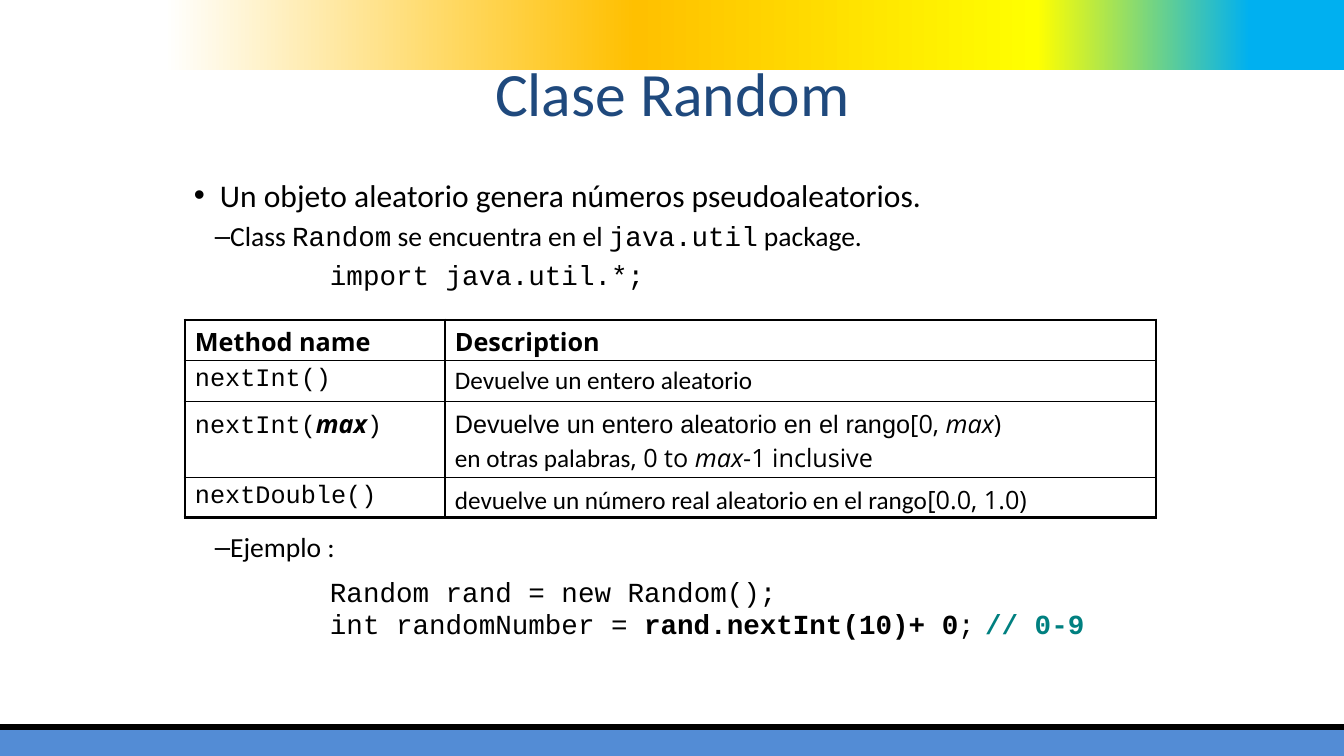
from copy import deepcopy
from pptx import Presentation
from pptx.dml.color import RGBColor
from pptx.enum.shapes import MSO_CONNECTOR as CONN, MSO_SHAPE as SHAPE
from pptx.enum.text import MSO_ANCHOR as ANCHOR, MSO_AUTO_SIZE as AUTO, PP_ALIGN as ALIGN
from pptx.oxml.ns import qn
from pptx.util import Pt
from lxml.etree import SubElement

COLORS = {"black": "000000", "title": "1F497D", "bar": "538CD5", "comment": "008080"}
BANNER = [(0, "FFFFFF"), (40, "FFC000"), (74, "FFFF00"), (92, "00B0F0"), (100, "00B0F0")]
SANS, BODY, CODE, ARIAL = "Open Sans", "Calibri", "Courier New", "Arial"
THIN, THICK = 1, 2.25


def px(n):
    return round(n * 914400 / 100.8)


def box(*at):
    return [px(n) for n in at]


def rgb(name):
    return RGBColor.from_string(COLORS[name])


def add_run(p, text, font=BODY, size=18, color="black", bold=False, italic=False):
    r = p.add_run()
    r.text = text
    f = r.font
    f.name, f.size, f.bold, f.italic = font, Pt(size), bold, italic
    f.color.rgb = rgb(color)


def add_bar(s, *at):
    sp = s.shapes.add_shape(SHAPE.RECTANGLE, *box(*at))
    sp.shadow.inherit = False
    sp.line.fill.background()
    return sp


def fill_gradient(sp, stops):
    sp.fill.gradient()
    sp.fill.gradient_angle = 0
    gs_list = sp.element.spPr.find(qn("a:gradFill")).find(qn("a:gsLst"))
    blank = deepcopy(gs_list[0])
    for gs in list(gs_list):
        gs_list.remove(gs)
    for pos, color in stops:
        gs = deepcopy(blank)
        for child in list(gs):
            gs.remove(child)
        gs.set("pos", str(pos * 1000))
        SubElement(gs, qn("a:srgbClr"), val=color)
        gs_list.append(gs)


def add_rule(s, x1, y1, x2, y2, width):
    line = s.shapes.add_connector(CONN.STRAIGHT, *box(x1, y1, x2, y2))
    line.line.color.rgb = rgb("black")
    line.line.width = Pt(width)
    SubElement(line.element.spPr, qn("a:effectLst"))


def set_indent(p, left, first=0, bullet=None, tab=None):
    pPr = p._p.get_or_add_pPr()
    pPr.set("marL", str(px(left)))
    pPr.set("indent", str(px(first)))
    if bullet:
        clr = SubElement(pPr, qn("a:buClr"))
        SubElement(clr, qn("a:srgbClr"), val=COLORS["black"])
        SubElement(pPr, qn("a:buFont"), typeface=ARIAL)
        SubElement(pPr, qn("a:buChar"), char=bullet)
    else:
        SubElement(pPr, qn("a:buNone"))
    if tab:
        tabs = SubElement(pPr, qn("a:tabLst"))
        SubElement(tabs, qn("a:tab"), pos=str(px(tab)), algn="l")


def add_body(s, paragraphs, *at):
    tf = s.shapes.add_textbox(*box(*at)).text_frame
    tf.word_wrap = True
    tf.margin_left = tf.margin_top = tf.margin_right = tf.margin_bottom = 0
    for i, (level, before, spacing, indent, size, runs) in enumerate(paragraphs):
        p = tf.add_paragraph() if i else tf.paragraphs[0]
        p.level, p.space_before, p.line_spacing = level, Pt(before), spacing
        set_indent(p, **indent)
        for text, fmt in runs:
            add_run(p, text, size=size, **fmt)


def set_borders(cell, **widths):
    tcPr = cell._tc.get_or_add_tcPr()
    for i, side in enumerate("LRTB"):
        ln = SubElement(tcPr, qn("a:ln" + side), w=str(Pt(widths[side])))
        fill = SubElement(ln, qn("a:solidFill"))
        SubElement(fill, qn("a:srgbClr"), val=COLORS["black"])
        tcPr.remove(ln)
        tcPr.insert(i, ln)


def add_method_table(s, rows, x, y, widths, heights):
    frame = s.shapes.add_table(len(rows), len(widths), *box(x, y, sum(widths), sum(heights)))
    table = frame.table
    table.first_row = table.horz_banding = False
    for col, w in zip(table.columns, widths):
        col.width = px(w)
    for row, h in zip(table.rows, heights):
        row.height = px(h)
    last_r, last_c = len(rows) - 1, len(widths) - 1
    for r, row in enumerate(rows):
        for c, lines in enumerate(row):
            cell = table.cell(r, c)
            cell.fill.background()
            cell.margin_left = cell.margin_right = px(10)
            cell.margin_top = cell.margin_bottom = px(5)
            set_borders(cell, L=THIN if c else THICK, R=THICK if c == last_c else THIN,
                        T=THIN if r else THICK, B=THICK if r == last_r else THIN)
            p = cell.text_frame.paragraphs[0]
            for i, runs in enumerate(lines):
                if i:
                    p.add_line_break()
                for text, fmt in runs:
                    add_run(p, text, **fmt)


def set_title(s, text, *at):
    sp = s.shapes.title
    sp.left, sp.top, sp.width, sp.height = box(*at)
    tf = sp.text_frame
    tf.auto_size, tf.vertical_anchor, tf.word_wrap = AUTO.NONE, ANCHOR.TOP, True
    tf.paragraphs[0].alignment = ALIGN.CENTER
    add_run(tf.paragraphs[0], text, size=44, color="title")


def main():
    prs = Presentation()
    prs.slide_width, prs.slide_height = px(1344), px(756)
    s = prs.slides.add_slide(prs.slide_layouts[5])

    # Footer bar, top banner and footer rule
    footer = add_bar(s, 0, 730, 1344, 26)
    footer.fill.solid()
    footer.fill.fore_color.rgb = rgb("bar")
    fill_gradient(add_bar(s, 164, 0, 1180, 70), BANNER)
    add_rule(s, 0, 727, 1344, 727, 4.5)

    # Bullets and code, with room left for the table
    code, bold = {"font": CODE}, {"font": CODE, "bold": True}
    dash = {"left": 35, "first": -14, "bullet": "–"}
    block = {"left": 136}
    add_body(s, [
        (0, 0, 1.0, {"left": 26, "first": -26, "bullet": "•"}, 22.5,
         [("Un objeto aleatorio genera números pseudoaleatorios.", {})]),
        (1, 3.9, 1.0, dash, 19.7,
         [("Class ", {}), ("Random", code), (" se encuentra en el ", {}),
          ("java.util", code), (" package.", {})]),
        (1, 3.9, 1.0, block, 19.7, [("import java.util.*;", code)]),
        (1, 171, 1.0, dash, 19.7, [("Ejemplo :", {})]),
        (1, 13, 0.8, block, 19.7, [("Random rand = new Random();", code)]),
        (1, 3.9, 0.8, {**block, "tab": 830}, 19.7,
         [("int randomNumber = ", code), ("rand.nextInt(10)+ 0", bold), (";\t", code),
          ("// 0-9", {**bold, "color": "comment"})]),
    ], 194, 176, 983, 571)

    # Method table: each cell is a list of lines, each line a list of runs
    head, sans = {"font": SANS, "bold": True}, {"font": SANS}
    slanted = {"font": SANS, "italic": True}
    add_method_table(s, [
        ([[("Method name", head)]], [[("Description", head)]]),
        ([[("nextInt()", code)]], [[("Devuelve un entero aleatorio", {})]]),
        ([[("nextInt(", code), ("max", {**head, "italic": True}), (")", code)]],
         [[("Devuelve un entero aleatorio en el rango", {"font": ARIAL}),
           ("[0, ", sans), ("max", slanted), (")", sans)],
          [("en otras palabras", {}), (", 0 to ", sans), ("max", slanted),
           ("-1 inclusive", sans)]]),
        ([[("nextDouble()", code)]],
         [[("devuelve un número real aleatorio en el rango", {}), ("[0.0, 1.0)", sans)]]),
    ], 185, 320, [260, 711], [40, 41, 76, 40])

    set_title(s, "Clase Random", 219, 50, 907, 219)
    prs.save("out.pptx")


main()
